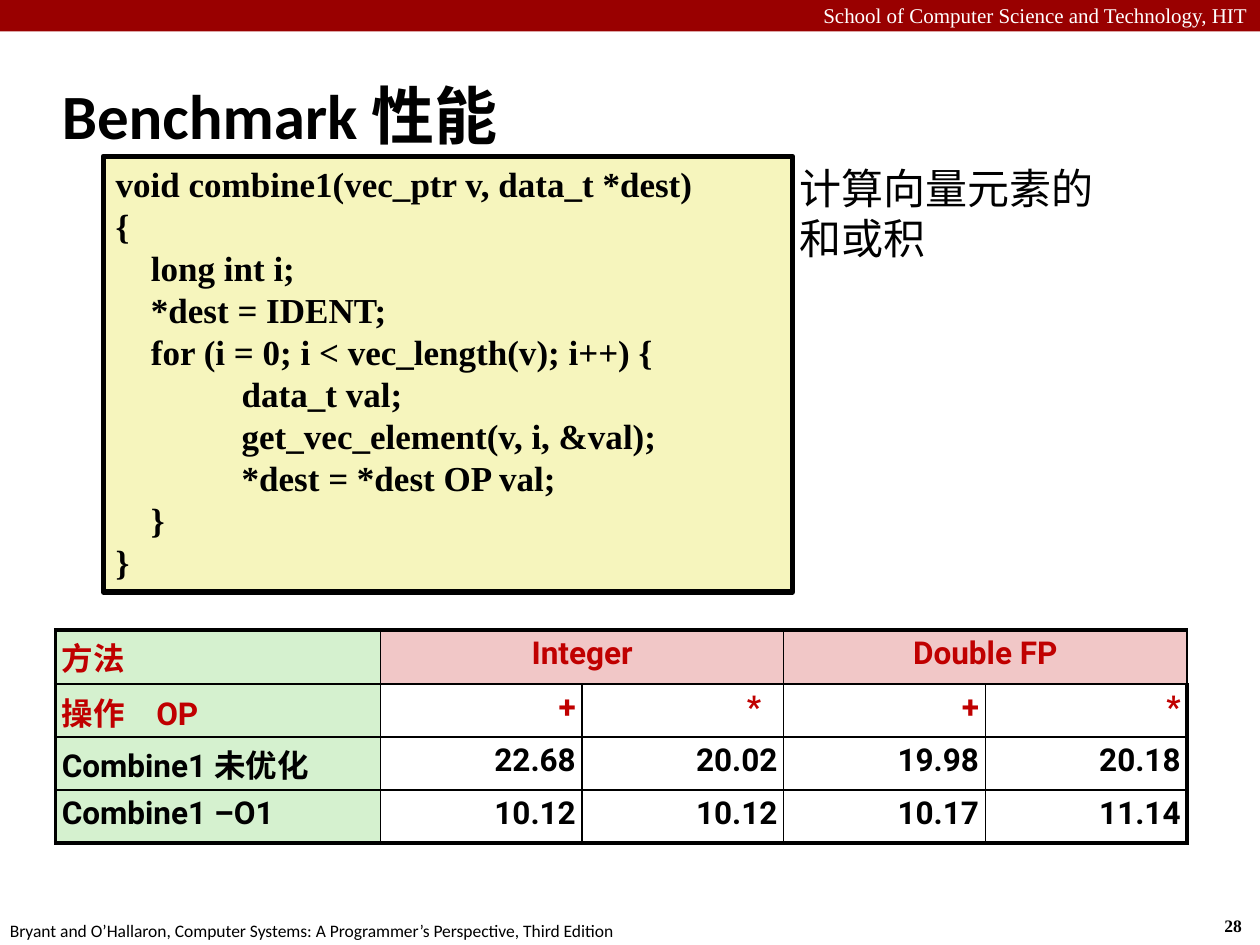
from dataclasses import dataclass
from lxml.etree import SubElement
from pptx import Presentation
from pptx.dml.color import RGBColor
from pptx.enum.shapes import MSO_SHAPE as Shape
from pptx.enum.text import MSO_ANCHOR as Anchor, PP_ALIGN as Align
from pptx.oxml.ns import qn
from pptx.util import Inches, Pt

GRID = 0.1


@dataclass(frozen=True)
class Theme:
    black: str = "000000"
    white: str = "FFFFFF"
    banner: str = "990000"
    code_fill: str = "F6F5BD"
    label_fill: str = "D5F1CF"
    group_fill: str = "F1C7C7"
    heading: str = "C00000"
    serif: str = "Times New Roman"
    sans: str = "Calibri"
    table: str = "Roboto"
    title_size: int = 36
    note_size: int = 24
    code_size: int = 20
    table_size: int = 18
    banner_size: int = 12
    footer_size: int = 10
    thick: float = 2.25
    thin: float = 1


THEME = Theme()
CODE = [
    (0, "void combine1(vec_ptr v, data_t *dest)"),
    (0, "{"),
    (2.8, "long int i;"),
    (2.8, "*dest = IDENT;"),
    (2.8, "for (i = 0; i < vec_length(v); i++) {"),
    (10, "data_t val;"),
    (10, "get_vec_element(v, i, &val);"),
    (10, "*dest = *dest OP val;"),
    (2.8, "}"),
    (0, "}"),
]
RESULTS = [
    ["方法", "Integer", "", "Double FP", ""],
    ["操作\tOP", "+", "*", "+", "*"],
    ["Combine1 未优化", "22.68", "20.02", "19.98", "20.18"],
    ["Combine1 –O1", "10.12", "10.12", "10.17", "11.14"],
]
COLUMNS = [25.8, 16, 16, 16, 16]
ROWS = [4.3, 4.2, 4.2, 4.2]


def units(count):
    """Turn grid units into a length."""
    return Inches(count * GRID)


def area(*cells):
    """Turn left, top, width and height in grid units into lengths."""
    return [units(count) for count in cells]


def color(code):
    """Turn a hex code into a colour."""
    return RGBColor.from_string(code)


def write(para, text, font, size, ink=THEME.black, bold=False, align=Align.LEFT):
    """Add one styled run to a paragraph."""
    para.alignment = align
    span = para.add_run()
    span.text = text
    span.font.name, span.font.size, span.font.bold = font, Pt(size), bold
    span.font.color.rgb = color(ink)


def add_text(page, place, text, font, size, wrap=True, **style):
    """Add a text box with one paragraph."""
    frame = page.shapes.add_textbox(*area(*place)).text_frame
    frame.word_wrap = wrap
    write(frame.paragraphs[0], text, font, size, **style)


def add_panel(page, place, fill, line_width=0):
    """Add a filled rectangle, outlined when a line width is given."""
    panel = page.shapes.add_shape(Shape.RECTANGLE, *area(*place))
    panel.shadow.inherit = False
    panel.fill.solid()
    panel.fill.fore_color.rgb = color(fill)
    if line_width:
        panel.line.color.rgb = color(THEME.black)
        panel.line.width = Pt(line_width)
    else:
        panel.line.fill.background()
    return panel


def add_title(page, place, text):
    """Place and fill the title placeholder."""
    title = page.shapes.title
    title.left, title.top, title.width, title.height = area(*place)
    title.text_frame.vertical_anchor = Anchor.MIDDLE
    write(title.text_frame.paragraphs[0], text, THEME.sans, THEME.title_size, bold=True)


def add_code(page, place, lines):
    """Add a code panel with indented lines."""
    frame = add_panel(page, place, THEME.code_fill, 3).text_frame
    frame.word_wrap, frame.vertical_anchor = True, Anchor.TOP
    for number, (indent, text) in enumerate(lines):
        para = frame.add_paragraph() if number else frame.paragraphs[0]
        para.line_spacing = Pt(24)
        para._p.get_or_add_pPr().set("marL", str(units(indent)))
        write(para, text, THEME.serif, THEME.code_size, bold=True)


def set_borders(cell, outer):
    """Draw the four cell borders, thick on the outer sides."""
    for side in "LRTB":
        width = Pt(THEME.thick if side in outer else THEME.thin)
        line = SubElement(cell._tc.get_or_add_tcPr(), qn(f"a:ln{side}"), w=str(width))
        SubElement(SubElement(line, qn("a:solidFill")), qn("a:srgbClr"), val=THEME.black)


def add_tab(para, position):
    """Add a left tab stop to a paragraph."""
    stops = SubElement(para._p.get_or_add_pPr(), qn("a:tabLst"))
    SubElement(stops, qn("a:tab"), pos=str(units(position)), algn="l")


def fill_cell(cell, row, column, text):
    """Style and fill one cell by its place in the table."""
    sides = {"L": column == 0, "R": column == len(COLUMNS) - 1,
             "T": row == 0, "B": row == len(ROWS) - 1}
    set_borders(cell, [side for side, outer in sides.items() if outer])
    cell.fill.solid()
    fill = THEME.label_fill if column == 0 else THEME.group_fill if row == 0 else THEME.white
    cell.fill.fore_color.rgb = color(fill)
    cell.margin_left = cell.margin_right = cell.margin_top = cell.margin_bottom = units(0.5)
    if (row, column) == (1, 2):
        cell.margin_right = units(1.8)
    para = cell.text_frame.paragraphs[0]
    para.line_spacing = 0.95
    if "\t" in text:
        add_tab(para, 7.5)
    align = Align.LEFT if column == 0 else Align.CENTER if row == 0 else Align.RIGHT
    if text:
        write(para, text, THEME.table, THEME.table_size,
              THEME.heading if row < 2 else THEME.black, True, align)


def add_results(page, left, top):
    """Add the benchmark table."""
    place = area(left, top, sum(COLUMNS), sum(ROWS))
    table = page.shapes.add_table(len(ROWS), len(COLUMNS), *place).table
    table.first_row = table.horz_banding = False
    for column, width in zip(table.columns, COLUMNS):
        column.width = units(width)
    for line, height in zip(table.rows, ROWS):
        line.height = units(height)
    for row, texts in enumerate(RESULTS):
        for column, text in enumerate(texts):
            fill_cell(table.cell(row, column), row, column, text)
    for first in (1, 3):
        table.cell(0, first).merge(table.cell(0, first + 1))


def main():
    """Build the slide and save it."""
    deck = Presentation()
    deck.slide_width, deck.slide_height = units(100), units(75)
    page = deck.slides.add_slide(deck.slide_layouts[5])
    add_panel(page, (0, 0, 100, 2.5), THEME.banner)
    add_text(page, (0, -0.3, 100, 3), "School of Computer Science and Technology, HIT",
             THEME.serif, THEME.banner_size, ink=THEME.white, align=Align.RIGHT)
    add_text(page, (96.2, 72.1, 3.7, 2.7), "28", THEME.serif, THEME.footer_size,
             wrap=False, bold=True)
    add_text(page, (-0.2, 72.5, 50.8, 2.7),
             "Bryant and O’Hallaron, Computer Systems: A Programmer’s Perspective, Third Edition",
             THEME.sans, THEME.footer_size, wrap=False)
    add_title(page, (3.9, 4.9, 83, 8.3), "Benchmark 性能")
    add_code(page, (8.2, 12.4, 54.7, 34.6), CODE)
    add_text(page, (62.5, 12.4, 26.7, 9.1), "计算向量元素的和或积",
             THEME.sans, THEME.note_size)
    add_results(page, 4.4, 50)
    deck.save("out.pptx")


main()
